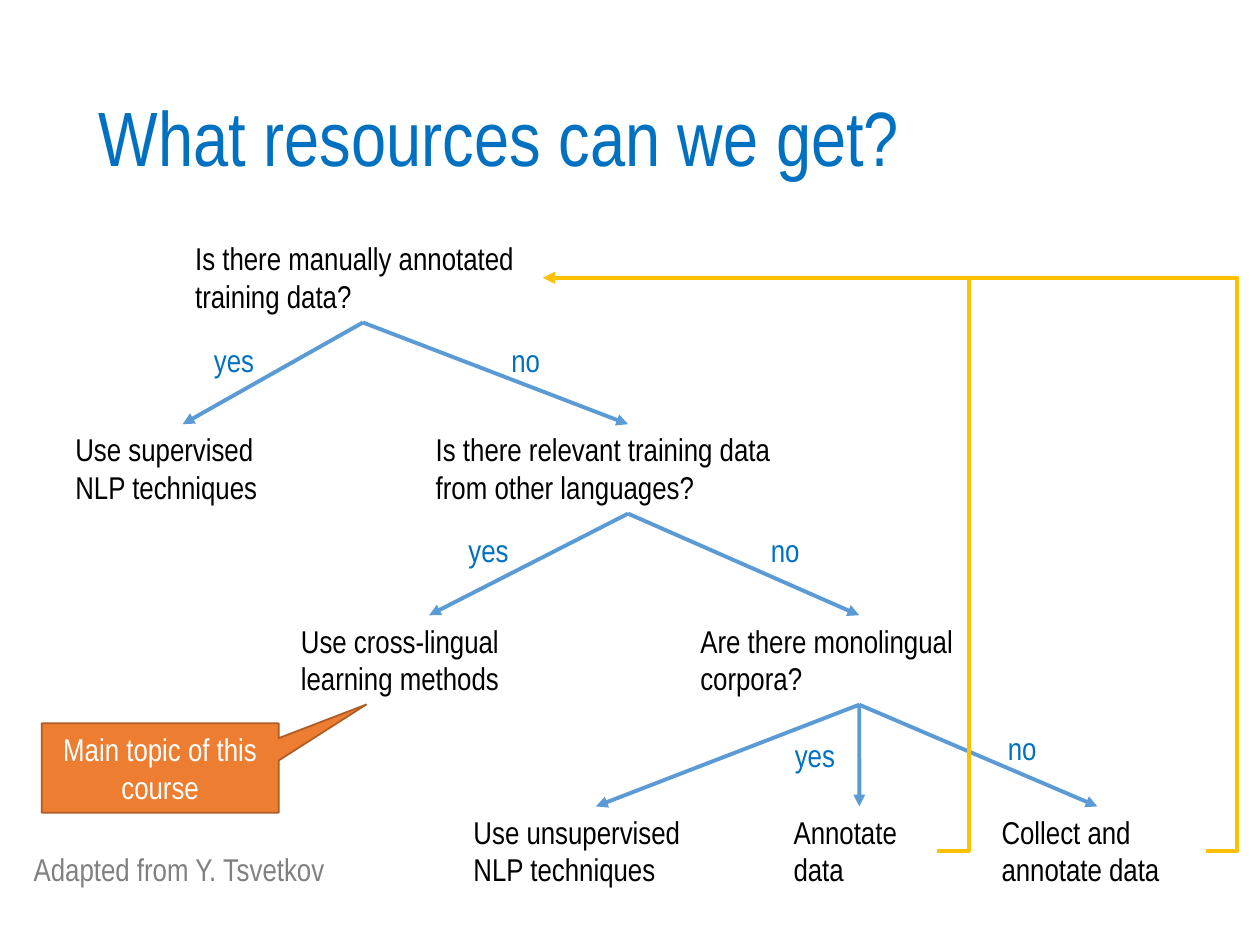
from lxml import etree
from pptx import Presentation
from pptx.dml.color import RGBColor
from pptx.enum.shapes import MSO_CONNECTOR, MSO_SHAPE
from pptx.enum.text import MSO_ANCHOR, MSO_AUTO_SIZE, PP_ALIGN
from pptx.oxml.ns import qn
from pptx.util import Pt

STRAIGHT = MSO_CONNECTOR.STRAIGHT
ELBOW = MSO_CONNECTOR.ELBOW
CALLOUT = MSO_SHAPE.RECTANGULAR_CALLOUT
MIDDLE = MSO_ANCHOR.MIDDLE
FIT = MSO_AUTO_SIZE.SHAPE_TO_FIT_TEXT
CENTER = PP_ALIGN.CENTER

COLORS = {
    "title": "0070C0",
    "text": "000000",
    "label": "0070C0",
    "credit": "808080",
    "arrow": "5B9BD5",
    "loop": "FFC000",
    "fill": "ED7D31",
    "edge": "AF5C24",
    "white": "FFFFFF",
}
TOP, STEP, HIGH = 133.2, 109.2, 51.1

prs = Presentation()
prs.slide_width, prs.slide_height = Pt(720), Pt(540)
slide = prs.slides.add_slide(prs.slide_layouts[6])
shapes = slide.shapes


def write(shape, words, color, size=18, wrap=True):
    frame = shape.text_frame
    frame.word_wrap = wrap
    para = frame.paragraphs[0]
    run = para.add_run()
    run.text = words
    run.font.name = "Arial Narrow"
    run.font.size = Pt(size)
    run.font.color.rgb = RGBColor.from_string(COLORS[color])
    return frame


def link(kind, start, end, color):
    line = shapes.add_connector(kind, *[Pt(v) for v in start + end])
    line.line.color.rgb = RGBColor.from_string(COLORS[color])
    line.line.width = Pt(2.25)
    etree.SubElement(line.line._get_or_add_ln(), qn("a:tailEnd"), type="triangle")
    etree.SubElement(line._element.spPr, qn("a:effectLst"))
    return line


title = shapes.add_textbox(Pt(49.5), Pt(28.8), Pt(621), Pt(104.4))
frame = write(title, "What resources can we get?", "title", 44)
frame.vertical_anchor = MIDDLE
frame.paragraphs[0].line_spacing = 0.9

nodes = {
    "manual": (0, 104.4, 206, "Is there manually annotated training data?"),
    "super": (1, 36, 136.8, "Use supervised NLP techniques"),
    "other": (1, 241.9, 234, "Is there relevant training data from other languages?"),
    "cross": (2, 164.9, 160.6, "Use cross-lingual learning methods"),
    "mono": (2, 393.1, 195.8, "Are there monolingual corpora?"),
    "unsuper": (3, 263.5, 154.1, "Use unsupervised NLP techniques"),
    "note": (3, 446.4, 89.3, "Annotate data"),
    "collect": (3, 565.2, 123.8, "Collect and annotate data"),
}
for row, left, width, words in nodes.values():
    box = shapes.add_textbox(Pt(left), Pt(TOP + row * STEP), Pt(width), Pt(HIGH))
    write(box, words, "text").auto_size = FIT

tree = {
    "manual": ["super", "other"],
    "other": ["cross", "mono"],
    "mono": ["unsuper", "note", "collect"],
}
for head, kids in tree.items():
    row, left, width, _ = nodes[head]
    start = (left + width / 2, TOP + row * STEP + HIGH)
    for kid in kids:
        row, left, width, _ = nodes[kid]
        link(STRAIGHT, start, (left + width / 2, TOP + row * STEP), "arrow")

labels = [
    ("yes", 115.2, 191.5, 40.3, "label"),
    ("yes", 260.6, 300.2, 40.3, "label"),
    ("yes", 447.1, 416.9, 40.3, "label"),
    ("no", 285.1, 191.5, 34.6, "label"),
    ("no", 433.4, 300.2, 34.6, "label"),
    ("no", 568.8, 413.3, 34.6, "label"),
    ("Adapted from Y. Tsvetkov", 12.2, 482.4, 213.8, "credit"),
]
for words, left, top, width, color in labels:
    box = shapes.add_textbox(Pt(left), Pt(top), Pt(width), Pt(28.8))
    write(box, words, color, wrap=False).auto_size = FIT

row, left, width, _ = nodes["manual"]
goal = (left + width, TOP + HIGH / 2)
for name in ("note", "collect"):
    row, left, width, _ = nodes[name]
    start = (left + width, TOP + row * STEP + HIGH / 2)
    loop = link(ELBOW, start, goal, "loop")
    bend = round(-18 / (start[0] - goal[0]) * 100000)
    guides = loop._element.spPr.find(qn("a:prstGeom")).find(qn("a:avLst"))
    etree.SubElement(guides, qn("a:gd"), name="adj1", fmla=f"val {bend}")

topic = shapes.add_shape(CALLOUT, Pt(23.8), Pt(413.3), Pt(135.4), Pt(HIGH))
topic.adjustments[0], topic.adjustments[1] = 0.87, -0.71
topic.shadow.inherit = False
topic.fill.solid()
topic.fill.fore_color.rgb = RGBColor.from_string(COLORS["fill"])
topic.line.color.rgb = RGBColor.from_string(COLORS["edge"])
topic.line.width = Pt(1)
frame = write(topic, "Main topic of this course", "white")
frame.vertical_anchor = MIDDLE
frame.paragraphs[0].alignment = CENTER

prs.save("out.pptx")
